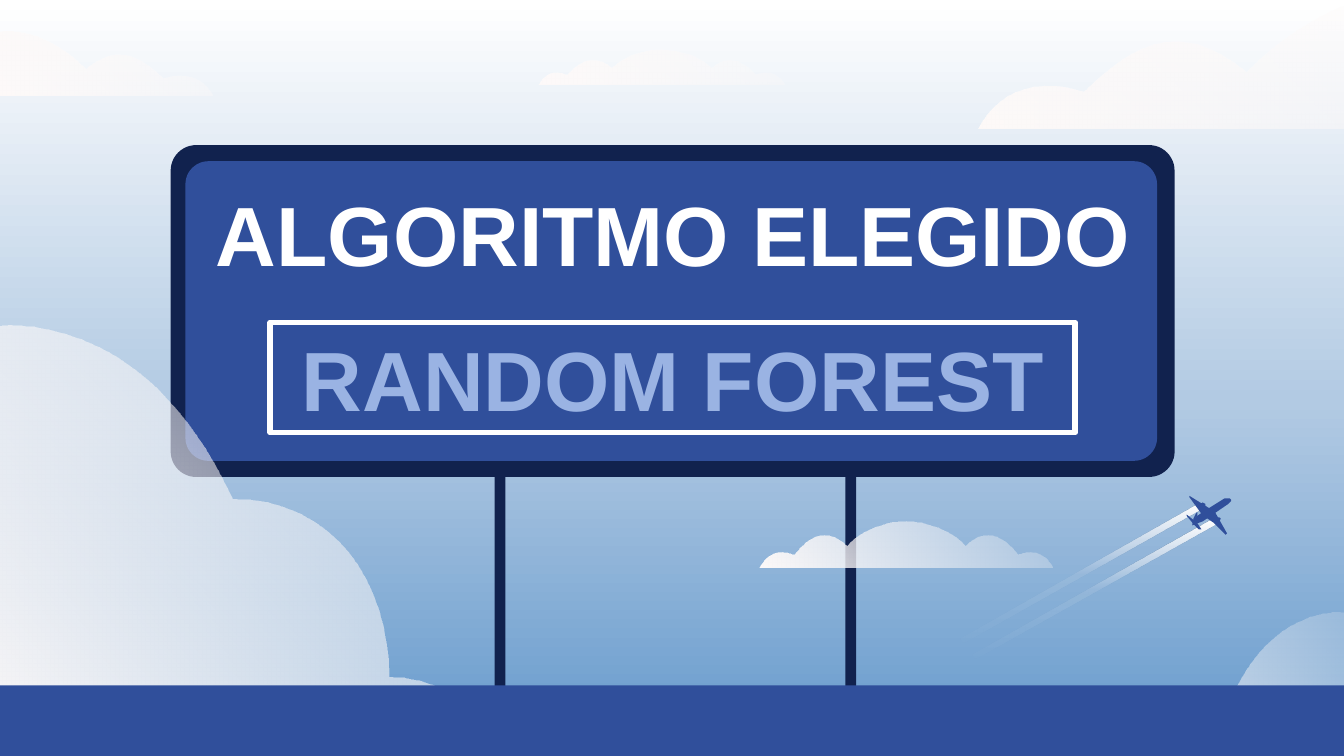
from pptx import Presentation
from pptx.dml.color import RGBColor
from pptx.enum.shapes import MSO_SHAPE
from pptx.enum.text import MSO_ANCHOR, MSO_AUTO_SIZE, PP_ALIGN
from pptx.oxml import parse_xml
from pptx.oxml.ns import nsdecls, qn
from pptx.util import Cm, Pt

NAVY, BLUE, PALE, WHITE, CLOUD = "11224E", "304F9B", "9AB3E3", "FFFFFF", "FEFAF9"
SKY = [(0, "6599CC", 100), (47, "B2CAE3", 100), (100, WHITE, 100)]
MIST = [(0, CLOUD, 19), (100, CLOUD, 100)]
TRAIL = [(0, WHITE, 100), (50, CLOUD, 10), (100, CLOUD, 0)]

SIGN = [
    ((3.68, 2.31, 0.08, 3.32), 0.167, NAVY),
    ((6.29, 2.31, 0.08, 3.32), 0.167, NAVY),
    ((1.27, 1.08, 7.47, 2.47), 0.077, NAVY),
    ((1.38, 1.2, 7.23, 2.23), 0.077, BLUE),
]
GROUND = (0, 5.1, 10, 0.53)
HEADING = ("ALGORITMO ELEGIDO", (1.45, 1.12, 7.12, 1.12), WHITE, 0.2)
ANSWER = ("RANDOM FOREST", (2.01, 2.4, 5.99, 0.82), PALE, 0.1)

BANK = [(0, 3.25), (0, 3.25), (1.07, 3.42), (1.74, 1.97), (2.49, 1.97), (2.9, 1.35),
        (2.9, 0.65), (3.55, 0.65), (3.84, 0), (3.84, 0), (0, 0)]
DRIFT = [(0, 0.47), (0, 0.47), (0.3, 0.55), (0.65, 0.2), (0.91, 0.41), (1.07, 0.27),
         (1.22, 0.13), (1.5, 0.22), (1.59, 0), (1.59, 0), (0, 0)]
HALF_PUFF = [(0, 0.34), (0.16, 0.34), (0.33, 0.28), (0.44, 0.16), (0.5, 0.22), (0.56, 0.24),
             (0.61, 0.24), (0.7, 0.24), (0.77, 0.17), (0.83, 0.1), (0.87, 0.11), (0.89, 0.12),
             (0.92, 0.12), (1.04, 0.12), (1.09, 0), (1.09, 0)]
PUFF = [(-x, y) for x, y in HALF_PUFF[:0:-1]] + HALF_PUFF
EDGE_CLOUDS = [
    (BANK, -0.01, 5.68, 1, 1),
    (BANK, 10, 6.12, -0.48, 0.48),
    (DRIFT, -0.01, 0.71, 1, 1),
    (DRIFT, 10.65, 0.96, -2.12, 2.12),
]
NEAR_PUFF = (PUFF, 6.74, 4.22, 1, 1)
FAR_PUFF = (PUFF, 4.92, 0.63, 0.84, 0.76)

CONTRAIL = [(7.17, 4.79), (7.15, 4.75), (8.92, 3.75), (8.95, 3.79)]
CONTRAIL_SHIFTS = [(0, 0), (0.09, 0.12)]
FUSELAGE = [(9.13, 3.71), (9.11, 3.71), (8.95, 3.81), (8.88, 3.86), (8.87, 3.91),
            (8.95, 3.88), (9.14, 3.75), (9.16, 3.73), (9.16, 3.72), (9.15, 3.71)]
RIGHT_WING = [(9.04, 3.81), (8.97, 3.85), (9.03, 3.89), (9.12, 3.98), (9.13, 3.97)]
RIGHT_ENGINE = [(9.07, 3.85), (9.07, 3.85), (9.07, 3.85), (9.07, 3.85), (9.06, 3.85),
                (9.05, 3.85), (9.05, 3.86), (9.05, 3.87), (9.06, 3.88), (9.07, 3.88),
                (9.07, 3.88), (9.08, 3.88), (9.08, 3.87), (9.09, 3.86), (9.08, 3.85),
                (9.07, 3.85)]
RIGHT_TAIL = [(8.9, 3.88), (8.88, 3.9), (8.92, 3.94), (8.94, 3.94)]
LEFT_WING = [(8.85, 3.69), (8.85, 3.7), (8.93, 3.81), (8.96, 3.85), (9.01, 3.79)]
LEFT_ENGINE = [(8.95, 3.74), (8.94, 3.74), (8.94, 3.74), (8.93, 3.75), (8.93, 3.76),
               (8.94, 3.78), (8.95, 3.78), (8.95, 3.78), (8.96, 3.77), (8.96, 3.77),
               (8.97, 3.77), (8.97, 3.76), (8.97, 3.75), (8.96, 3.74), (8.96, 3.74),
               (8.95, 3.74)]
LEFT_TAIL = [(8.83, 3.83), (8.83, 3.84), (8.88, 3.9), (8.88, 3.87)]
FIN = [(8.91, 3.81), (8.9, 3.82), (8.88, 3.86), (8.91, 3.84)]
RIGHT_INTAKE = [(9.06, 3.85), (9.04, 3.86), (9.06, 3.87)]
LEFT_INTAKE = [(8.95, 3.74), (8.93, 3.75), (8.94, 3.76)]
PLANE = [(FUSELAGE, False), (RIGHT_WING, False), (RIGHT_ENGINE, True), (RIGHT_TAIL, False),
         (LEFT_WING, False), (LEFT_ENGINE, True), (LEFT_TAIL, False), (FIN, False),
         (RIGHT_INTAKE, False), (LEFT_INTAKE, False)]


def inch(value):
    return Cm(value * 2.54)


def rgb(code):
    return RGBColor.from_string(code)


def gradient(owner, fill, stops, angle):
    fill.gradient()
    g = next(owner.element.iter(qn("a:gradFill")))
    g.clear()
    marks = "".join(
        f'<a:gs pos="{pos * 1000}"><a:srgbClr val="{color}">'
        f'<a:alpha val="{alpha * 1000}"/></a:srgbClr></a:gs>' for pos, color, alpha in stops)
    g.append(parse_xml(f'<a:gsLst {nsdecls("a")}>{marks}</a:gsLst>'))
    g.append(parse_xml(f'<a:lin {nsdecls("a")} ang="{angle * 60000}" scaled="0"/>'))


def plain(s, color=None):
    s.shadow.inherit = False
    s.line.fill.background()
    if color:
        s.fill.solid()
        s.fill.fore_color.rgb = rgb(color)
    return s


def preset(shapes, kind, box, color):
    return plain(shapes.add_shape(kind, *map(inch, box)), color)


def outline(shapes, points, color=None, curved=False):
    start, *rest = [(inch(x), inch(y)) for x, y in points]
    builder = shapes.build_freeform(*start, scale=1.0)
    builder.add_line_segments(rest, close=True)
    s = plain(builder.convert_to_shape(), color)
    if curved:
        bend(s, len(rest) // 3)
    return s


def bend(s, count):
    lines = list(s.element.iter(qn("a:lnTo")))
    for i in range(0, count * 3, 3):
        first, *others = lines[i:i + 3]
        first.tag = qn("a:cubicBezTo")
        for line in others:
            first.append(line[0])
            line.getparent().remove(line)


def cloud(shapes, profile, x0, base, sx, sy):
    points = [(x0 + x * sx, base - y * sy) for x, y in profile]
    s = outline(shapes, points, curved=True)
    gradient(s, s.fill, MIST, 135)


def write(s, text, box, color, top):
    s.left, s.top, s.width, s.height = map(inch, box)
    tf = s.text_frame
    tf.word_wrap, tf.auto_size = True, MSO_AUTO_SIZE.NONE
    tf.vertical_anchor = MSO_ANCHOR.MIDDLE
    tf.margin_left = tf.margin_right = tf.margin_bottom = inch(0.1)
    tf.margin_top = inch(top)
    p = tf.paragraphs[0]
    p.alignment = PP_ALIGN.CENTER
    r = p.add_run()
    r.text = text
    r.font.name, r.font.size, r.font.bold = "Arial", Pt(45), True
    r.font.color.rgb = rgb(color)


def main():
    """Build the road-sign slide that announces the chosen algorithm."""
    prs = Presentation()
    prs.slide_width, prs.slide_height = Cm(25.4), Cm(14.29)
    slide = prs.slides.add_slide(prs.slide_layouts[5])
    shapes = slide.shapes
    gradient(slide, slide.background.fill, SKY, 270)

    sign = shapes.add_group_shape().shapes
    for box, radius, color in SIGN:
        preset(sign, MSO_SHAPE.ROUNDED_RECTANGLE, box, color).adjustments[0] = radius
    for placed in EDGE_CLOUDS:
        cloud(shapes, *placed)
    preset(shapes, MSO_SHAPE.RECTANGLE, GROUND, BLUE)
    cloud(shapes, *NEAR_PUFF)

    answer = shapes.add_textbox(0, 0, 0, 0)
    write(answer, *ANSWER)
    answer.line.color.rgb = rgb(WHITE)
    answer.line.width = Pt(3)
    title = shapes.title
    write(title, *HEADING)
    answer.element.addnext(title.element)
    cloud(shapes, *FAR_PUFF)

    flight = shapes.add_group_shape().shapes
    for dx, dy in CONTRAIL_SHIFTS:
        s = outline(flight, [(x + dx, y + dy) for x, y in CONTRAIL])
        gradient(s, s.fill, TRAIL, 90)
    for points, curved in PLANE:
        outline(flight, points, BLUE, curved)
    prs.save("out.pptx")


if __name__ == "__main__":
    main()
